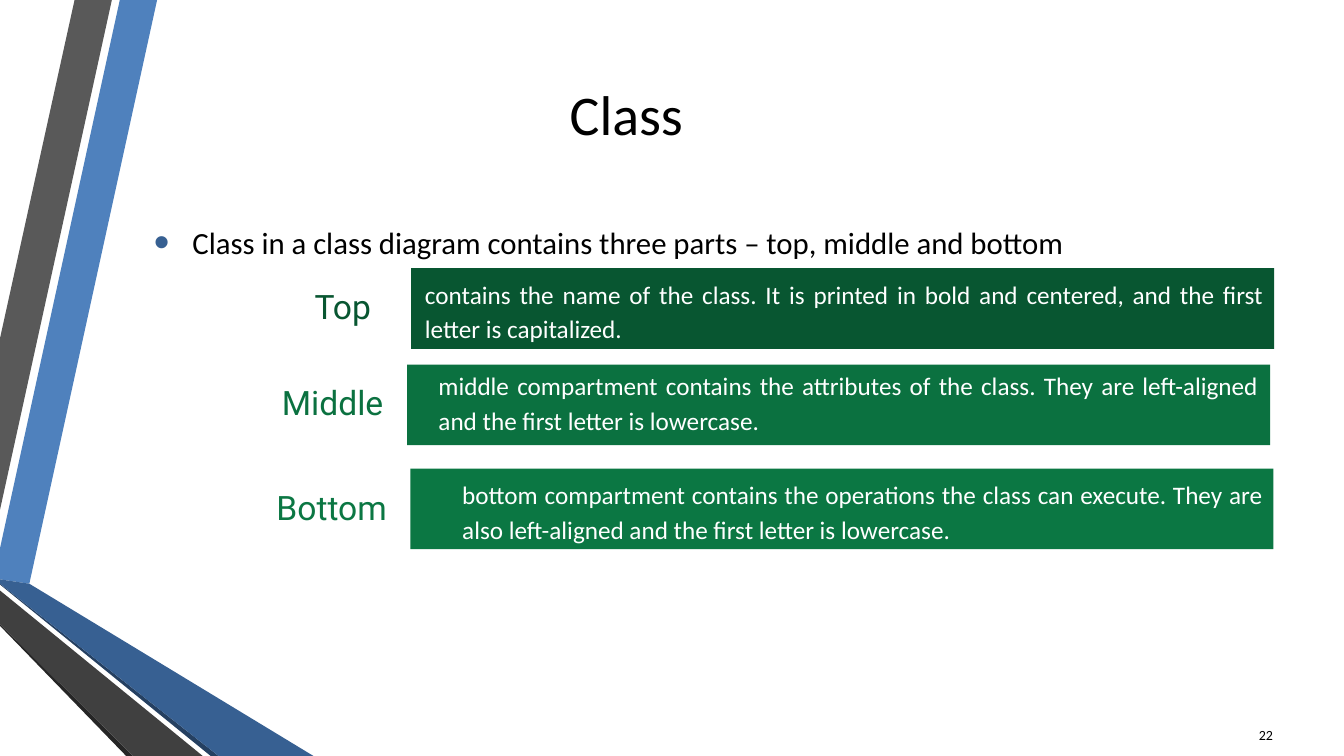
from lxml import etree
from pptx import Presentation
from pptx import util as u
from pptx.dml.color import RGBColor
from pptx.enum import shapes, text
from pptx.oxml.ns import qn

Cm = u.Cm
ALIGN = text.PP_ALIGN

COLORS = {
    "black": "000000", "white": "FFFFFF",
    "sky": "4F81BD", "blue": "376092", "navy": "254061",
    "grey": "595959", "charcoal": "404040", "coal": "262626",
    "top": "085631", "middle": "0B7140", "bottom": "0B7743",
}

# Ribbons at the left edge: colour and corners in cm, back to front
RIBBONS = [
    ("sky", [(0, 13.82), (0, 14.6), (0.74, 14.71), (3.96, 0), (3.02, 0)]),
    ("grey", [(2.82, 0), (1.88, 0), (0, 8.53), (0, 12.85)]),
    ("coal", [(0, 15.72), (0, 15.77), (3.18, 19.05), (3.35, 19.05)]),
    ("navy", [(0, 14.71), (0, 14.73), (5.31, 19.05), (5.51, 19.05)]),
    ("blue", [(0, 14.71), (5.51, 19.05), (7.9, 19.05), (0.74, 14.71), (0, 14.6)]),
    ("charcoal", [(0, 15.72), (3.35, 19.05), (5.11, 19.05), (0, 14.88)]),
]

# Class parts: name, colour, then label, bar and description boxes in cm
PARTS = [
    ("Top", "top", (5.59, 6.91, 4.01, 1.75), (10.36, 6.76, 21.75, 2.03),
     (10.46, 6.99, 21.64, 1.6),
     "contains the name of the class. It is printed in bold and centered, "
     "and the first letter is capitalized."),
    ("Middle", "middle", (4.7, 9.32, 5.21, 1.75), (10.26, 9.19, 21.75, 2.03),
     (10.8, 9.32, 21.16, 1.57),
     "middle compartment contains the attributes of the class. "
     "They are left-aligned and the first letter is lowercase."),
    ("Bottom", "bottom", (4.39, 11.96, 5.61, 1.75), (10.34, 11.81, 21.75, 2.03),
     (11.4, 11.96, 20.68, 1.75),
     "bottom compartment contains the operations the class can execute. "
     "They are also left-aligned and the first letter is lowercase."),
]


def rgb(name):
    return RGBColor.from_string(COLORS[name])


def write(frame, words, size=18, font="Calibri", color="black",
          align=ALIGN.LEFT, spacing=1.0, anchor=text.MSO_ANCHOR.MIDDLE):
    """Fill a text frame with one formatted paragraph and return it."""
    frame.word_wrap = True
    frame.auto_size = text.MSO_AUTO_SIZE.NONE
    frame.vertical_anchor = anchor
    paragraph = frame.paragraphs[0]
    paragraph.alignment = align
    paragraph.line_spacing = spacing
    run = paragraph.add_run()
    run.text = words
    run.font.size = u.Pt(size)
    run.font.name = font
    run.font.color.rgb = rgb(color)
    return paragraph


def add_text(slide, box, words, **style):
    frame = slide.shapes.add_textbox(*map(Cm, box)).text_frame
    return write(frame, words, **style)


def paint(shape, color):
    shape.shadow.inherit = False
    shape.fill.solid()
    shape.fill.fore_color.rgb = rgb(color)
    shape.line.fill.background()


def add_ribbon(slide, color, corners):
    start, *rest = [(Cm(x), Cm(y)) for x, y in corners]
    outline = slide.shapes.build_freeform(*start)
    outline.add_line_segments(rest, close=True)
    paint(outline.convert_to_shape(), color)


def add_bullet(paragraph, indent, color, percent):
    props = paragraph._p.get_or_add_pPr()
    props.set("marL", str(indent))
    props.set("indent", str(-indent))
    bullet_color = etree.SubElement(props, qn("a:buClr"))
    etree.SubElement(bullet_color, qn("a:srgbClr"), val=COLORS[color])
    etree.SubElement(props, qn("a:buSzPct"), val=str(percent * 1000))
    etree.SubElement(props, qn("a:buFont"), typeface="Arial")
    etree.SubElement(props, qn("a:buChar"), char="•")


def add_part(slide, name, color, label_box, bar_box, description_box, description):
    add_text(slide, label_box, name, size=24, font="Roboto", color=color,
             align=ALIGN.RIGHT, spacing=0.9)
    bar = slide.shapes.add_shape(shapes.MSO_SHAPE.RECTANGLE, *map(Cm, bar_box))
    paint(bar, color)
    add_text(slide, description_box, description, color="white",
             align=ALIGN.JUSTIFY, spacing=1.15)


def main():
    prs = Presentation()
    prs.slide_width, prs.slide_height = Cm(33.87), Cm(19.05)
    slide = prs.slides.add_slide(prs.slide_layouts.get_by_name("Title Only"))

    # Decoration
    for color, corners in RIBBONS:
        add_ribbon(slide, color, corners)

    # Title
    title = slide.shapes.title
    title.left, title.top, title.width, title.height = map(
        Cm, (3.63, 1.27, 24.31, 3.18))
    write(title.text_frame, "Class", size=40, align=ALIGN.CENTER)

    # Introduction
    intro = add_text(slide, (3.63, 5.05, 29.11, 9.42),
                     "Class in a class diagram contains three parts – "
                     "top, middle and bottom",
                     size=22, spacing=1.5, anchor=text.MSO_ANCHOR.TOP)
    intro.space_after = u.Pt(6)
    add_bullet(intro, Cm(0.97), "blue", 145)

    # The three parts of a class
    for part in PARTS:
        add_part(slide, *part)

    # Slide number
    add_text(slide, (30.76, 18.01, 1.57, 1.02), "22", size=10, align=ALIGN.RIGHT)

    prs.save("out.pptx")


if __name__ == "__main__":
    main()
